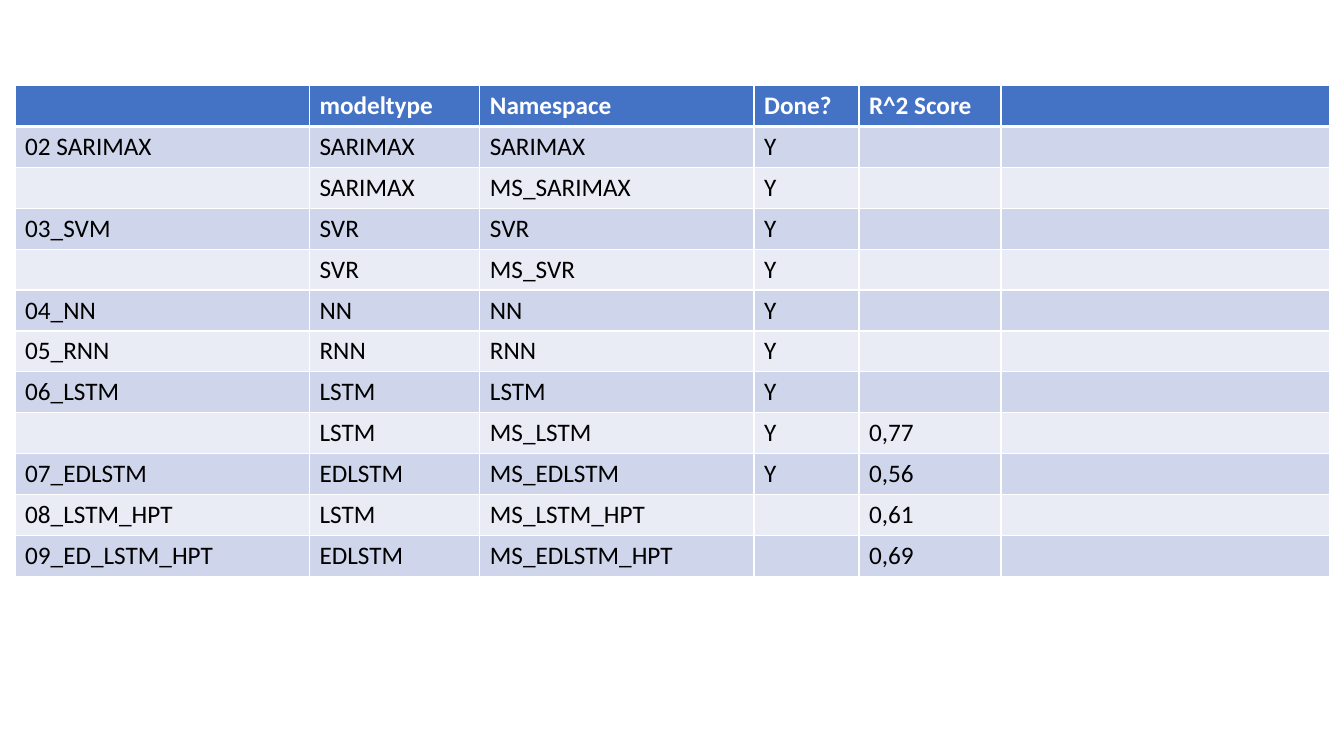
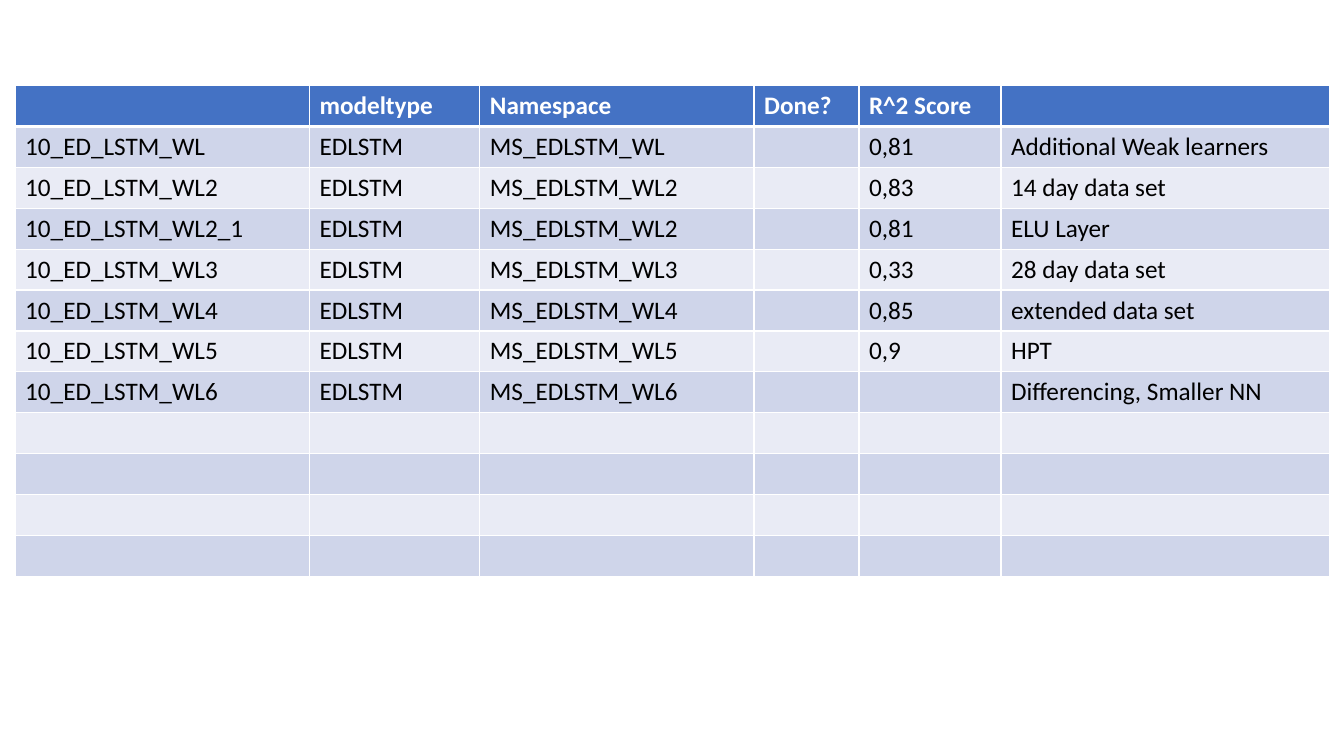
from lxml import etree
from pptx import Presentation
from pptx.dml.color import RGBColor
from pptx.oxml.ns import qn
from pptx.util import Inches, Pt

COLORS = {
    "header": "4472C4",
    "odd_row": "CFD5EA",
    "even_row": "E9EBF5",
    "header_text": "FFFFFF",
    "body_text": "000000",
    "border": "FFFFFF",
}
FONT = "Calibri"
FONT_SIZE = Pt(18)
THIN, THICK = Pt(1), Pt(3)
BLANK_LAYOUT = 6

TABLE_LEFT, TABLE_TOP, TABLE_HEIGHT = Inches(0.15), Inches(0.85), Inches(4.86)
COLUMN_WIDTHS = [Inches(width) for width in (2.92, 1.69, 2.72, 1.04, 1.41, 3.26)]
ROW_COUNT = 12
HEADER = ("", "modeltype", "Namespace", "Done?", "R^2 Score", "")

# Each row: notebook, model type, namespace, done, score, remark
BASE_MODELS = [
    ("02 SARIMAX", "SARIMAX", "SARIMAX", "Y", "", ""),
    ("", "SARIMAX", "MS_SARIMAX", "Y", "", ""),
    ("03_SVM", "SVR", "SVR", "Y", "", ""),
    ("", "SVR", "MS_SVR", "Y", "", ""),
    ("04_NN", "NN", "NN", "Y", "", ""),
    ("05_RNN", "RNN", "RNN", "Y", "", ""),
    ("06_LSTM", "LSTM", "LSTM", "Y", "", ""),
    ("", "LSTM", "MS_LSTM", "Y", "0,77", ""),
    ("07_EDLSTM", "EDLSTM", "MS_EDLSTM", "Y", "0,56", ""),
    ("08_LSTM_HPT", "LSTM", "MS_LSTM_HPT", "", "0,61", ""),
    ("09_ED_LSTM_HPT", "EDLSTM", "MS_EDLSTM_HPT", "", "0,69", ""),
]
WEAK_LEARNER_MODELS = [
    ("10_ED_LSTM_WL", "EDLSTM", "MS_EDLSTM_WL", "", "0,81", "Additional Weak learners"),
    ("10_ED_LSTM_WL2", "EDLSTM", "MS_EDLSTM_WL2", "", "0,83", "14 day data set"),
    ("10_ED_LSTM_WL2_1", "EDLSTM", "MS_EDLSTM_WL2", "", "0,81", "ELU Layer"),
    ("10_ED_LSTM_WL3", "EDLSTM", "MS_EDLSTM_WL3", "", "0,33", "28 day data set"),
    ("10_ED_LSTM_WL4", "EDLSTM", "MS_EDLSTM_WL4", "", "0,85", "extended data set"),
    ("10_ED_LSTM_WL5", "EDLSTM", "MS_EDLSTM_WL5", "", "0,9", "HPT"),
    ("10_ED_LSTM_WL6", "EDLSTM", "MS_EDLSTM_WL6", "", "", "Differencing, Smaller NN"),
]


def rgb(name):
    return RGBColor.from_string(COLORS[name])


def set_borders(cell, top, bottom):
    """Draw all four borders; call before the fill, which must follow them in the XML."""
    properties = cell._tc.get_or_add_tcPr()
    for side, width in (("L", THIN), ("R", THIN), ("T", top), ("B", bottom)):
        line = etree.SubElement(properties, qn(f"a:ln{side}"), w=str(width))
        fill = etree.SubElement(line, qn("a:solidFill"))
        etree.SubElement(fill, qn("a:srgbClr"), val=COLORS["border"])


def set_text(cell, text, color, bold):
    run = cell.text_frame.paragraphs[0].add_run()
    run.text = text
    run.font.name = FONT
    run.font.size = FONT_SIZE
    run.font.bold = bold
    run.font.color.rgb = rgb(color)


def format_cell(cell, text, row):
    is_header = row == 0
    set_borders(cell, THICK if row == 1 else THIN, THICK if is_header else THIN)
    cell.fill.solid()
    band = "odd_row" if row % 2 else "even_row"
    cell.fill.fore_color.rgb = rgb("header" if is_header else band)
    if text:
        set_text(cell, text, "header_text" if is_header else "body_text", is_header)


def add_model_slide(presentation, models):
    """Add a slide with one model table, filled up with empty rows to ROW_COUNT."""
    slide = presentation.slides.add_slide(presentation.slide_layouts[BLANK_LAYOUT])
    table = slide.shapes.add_table(
        ROW_COUNT, len(COLUMN_WIDTHS), TABLE_LEFT, TABLE_TOP,
        sum(COLUMN_WIDTHS), TABLE_HEIGHT,
    ).table
    for column, width in zip(table.columns, COLUMN_WIDTHS):
        column.width = width

    empty_row = ("",) * len(HEADER)
    records = [HEADER, *models]
    records += [empty_row] * (ROW_COUNT - len(records))
    for row, record in enumerate(records):
        for column, text in enumerate(record):
            format_cell(table.cell(row, column), text, row)


def main():
    presentation = Presentation()
    presentation.slide_width = Inches(13.33)
    presentation.slide_height = Inches(7.5)
    for models in (BASE_MODELS, WEAK_LEARNER_MODELS):
        add_model_slide(presentation, models)
    presentation.save("out.pptx")


if __name__ == "__main__":
    main()
